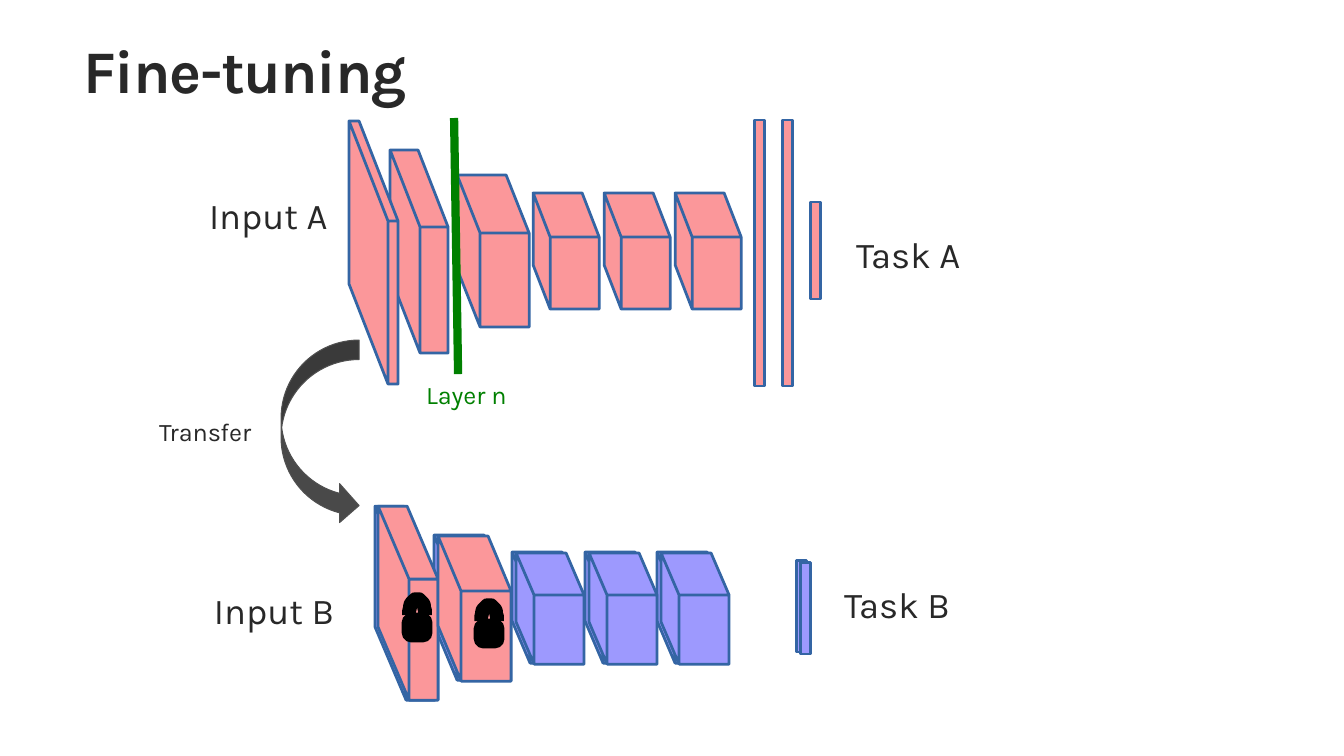
from lxml import etree
from pptx import Presentation
from pptx import util as u
from pptx.dml.color import RGBColor
from pptx.enum import shapes, text
from pptx.oxml.ns import qn

PX = 914400 / 98.8
INK = RGBColor(0x28, 0x28, 0x28)
PINK = RGBColor(0xFB, 0x97, 0x9A)
VIOLET = RGBColor(0x9D, 0x99, 0xFE)
BLUE = RGBColor(0x34, 0x65, 0xA4)
GREEN = RGBColor(0x00, 0x80, 0x00)
ARROW_FILL = RGBColor(0x49, 0x49, 0x49)
ARROW_LINE = RGBColor(0x50, 0x50, 0x50)
BLACK = RGBColor(0, 0, 0)
KIND = shapes.MSO_SHAPE

deck = Presentation()
deck.slide_width, deck.slide_height = u.Inches(13.6), u.Inches(7.65)
page = deck.slides.add_slide(deck.slide_layouts[6])


def paint(shape, fill, line, width):
    """Give a shape a flat fill (or none) and an outline."""
    shape.shadow.inherit = False
    if fill is None:
        shape.fill.background()
    else:
        shape.fill.solid()
        shape.fill.fore_color.rgb = fill
    shape.line.color.rgb = line
    shape.line.width = u.Pt(width)


def outline(points, closed):
    """Build a freeform through pixel points."""
    builder = page.shapes.build_freeform(*points[0], scale=PX)
    builder.add_line_segments(points[1:], close=closed)
    return builder.convert_to_shape()


# Layer blocks: left, top, depth across, depth down, front width, front height, fill
task_a = [(left, 193, 17, 44, 49, 72, PINK) for left in (675, 604, 533)] + [
    (457, 175, 23, 58, 49, 94, PINK),
    (390, 150, 30, 77, 28, 126, PINK),
    (349, 121, 39, 100, 10, 163, PINK),
]
task_b = []
for shift, drop, big_shift, early_fill in ((0, 0, 0, VIOLET), (4, 1, 3, PINK)):
    task_b.append((375 + big_shift, 506, 31, 73, 29, 121, early_fill))
    for left in (657, 585, 512):
        task_b.append((left + shift, 552 + drop, 18, 42, 50, 69, VIOLET))
    task_b.append((434 + shift, 535 + drop, 23, 55, 50, 90, early_fill))

for left, top, across, down, width, height, fill in task_b + task_a:
    back_left, back_right = (left, top), (left + width, top)
    corner = (left + across, top + down)
    front_right = (corner[0] + width, corner[1])
    block = outline([
        corner, (corner[0], corner[1] + height), (left, top + height), back_left,
        corner, back_left, back_right, front_right,
        corner, front_right, (front_right[0], front_right[1] + height),
        (corner[0], corner[1] + height),
    ], True)
    paint(block, fill, BLUE, 2)

# Flat layers, transfer arrow and lock bodies
for kind, left, top, width, height, fill, line, weight in (
    (KIND.RECTANGLE, 796, 560, 10, 92, VIOLET, BLUE, 2),
    (KIND.RECTANGLE, 800, 562, 10, 92, VIOLET, BLUE, 2),
    (KIND.RECTANGLE, 754, 120, 10, 266, PINK, BLUE, 2),
    (KIND.RECTANGLE, 782, 120, 10, 266, PINK, BLUE, 2),
    (KIND.RECTANGLE, 810, 202, 10, 97, PINK, BLUE, 2),
    (KIND.CURVED_RIGHT_ARROW, 281, 340, 78, 185, ARROW_FILL, ARROW_LINE, 0.75),
    (KIND.ROUNDED_RECTANGLE, 475, 620, 28, 27, BLACK, BLACK, 2),
    (KIND.ROUNDED_RECTANGLE, 403, 614, 28, 27, BLACK, BLACK, 2),
):
    frame = [round(n * PX) for n in (left, top, width, height)]
    shape = page.shapes.add_shape(kind, *frame)
    paint(shape, fill, line, weight)
    if kind == KIND.ROUNDED_RECTANGLE:
        shape.adjustments[0] = 0.31
        # Shackle: left half of a curve, then its mirror
        half = []
        for step in range(9):
            t = step / 8
            weights = ((1 - t) ** 3, 3 * t * (1 - t) ** 2, 3 * t * t * (1 - t), t ** 3)
            half.append((
                sum(w * x for w, x in zip(weights, (-8, -8, -7, 0))),
                sum(w * y for w, y in zip(weights, (1, -4, -15, -15))),
            ))
        arc = half + [(-x, y) for x, y in half[-2::-1]]
        shackle = outline([(left + 14 + x, top + y) for x, y in arc], False)
        paint(shackle, None, BLACK, 10)

ends = [round(n * PX) for n in (454, 118, 458, 374)]
cut = page.shapes.add_connector(shapes.MSO_CONNECTOR.STRAIGHT, *ends)
cut.line.color.rgb = GREEN
cut.line.width = u.Pt(6)
etree.SubElement(cut._element.spPr, qn("a:effectLst"))

# Labels: words, left, top, width, height, size, colour, side inset, top inset, anchor
MIDDLE, TOP = text.MSO_ANCHOR.MIDDLE, text.MSO_ANCHOR.TOP
for words, left, top, width, height, size, colour, side, edge, anchor in (
    ("Task B", 841, 579, 131, 50, 26.5, INK, 3, 3, MIDDLE),
    ("Task A", 853, 229, 120, 50, 26.5, INK, 3, 3, MIDDLE),
    ("Input A", 206, 190, 132, 50, 26.5, INK, 3, 3, MIDDLE),
    ("Input B", 211, 585, 132, 50, 26.5, INK, 3, 3, MIDDLE),
    ("Transfer", 149, 411, 131, 41, 18.4, INK, 10, 5, TOP),
    ("Layer n", 416, 374, 122, 41, 18.4, GREEN, 10, 5, TOP),
    ("Fine-tuning", 73, 36, 1240, 99, 44, INK, 10, 5, TOP),
):
    box = page.shapes.add_textbox(*[round(n * PX) for n in (left, top, width, height)])
    inset_x, inset_y = round(side * PX), round(edge * PX)
    settings = {
        "word_wrap": True, "vertical_anchor": anchor,
        "margin_left": inset_x, "margin_right": inset_x,
        "margin_top": inset_y, "margin_bottom": inset_y,
    }
    for name, value in settings.items():
        setattr(box.text_frame, name, value)
    para = box.text_frame.paragraphs[0]
    span = para.add_run()
    span.text = words
    is_title = size == 44
    for name, value in {"name": "Karla", "size": u.Pt(size), "bold": is_title}.items():
        setattr(span.font, name, value)
    span.font.color.rgb = colour
    if is_title:
        para.alignment = text.PP_ALIGN.JUSTIFY
        para.line_spacing = 0.9
        span._r.get_or_add_rPr().set("spc", "-100")

deck.save("out.pptx")
